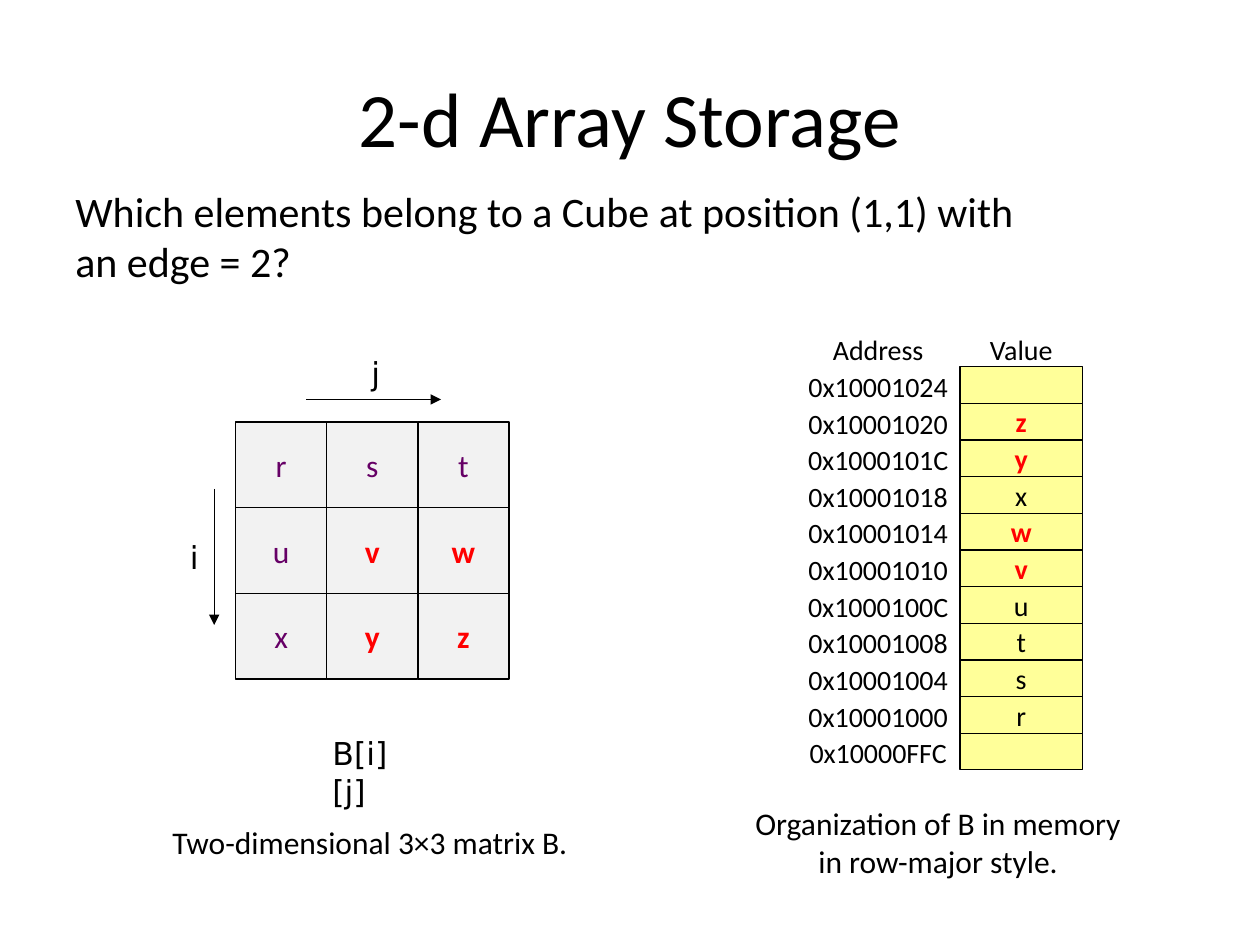
from lxml import etree
from pptx import Presentation
from pptx.dml.color import RGBColor
from pptx.enum.shapes import MSO_CONNECTOR, MSO_SHAPE
from pptx.enum.text import MSO_ANCHOR, PP_ALIGN
from pptx.oxml.ns import qn
from pptx.util import Inches, Pt

RECTANGLE = MSO_SHAPE.RECTANGLE
STRAIGHT = MSO_CONNECTOR.STRAIGHT
LEFT, CENTER = PP_ALIGN.LEFT, PP_ALIGN.CENTER
TOP, MIDDLE = MSO_ANCHOR.TOP, MSO_ANCHOR.MIDDLE

TITLE = "2-d Array Storage"
QUESTION = ["Which elements belong to a Cube at position (1,1) with", "an edge = 2?"]
MATRIX = ["rst", "uvw", "xyz"]
CUBE = "vwyz"
MEMORY = [
    ("0x10001024", ""),
    ("0x10001020", "z"),
    ("0x1000101C", "y"),
    ("0x10001018", "x"),
    ("0x10001014", "w"),
    ("0x10001010", "v"),
    ("0x1000100C", "u"),
    ("0x10001008", "t"),
    ("0x10001004", "s"),
    ("0x10001000", "r"),
    ("0x10000FFC", ""),
]
HEADINGS = [("Address", 6.51, 0.92), ("Value", 7.75, 0.71)]
CODE_LABELS = [
    ("B[i][j]", (2.54, 5.78, 0.82, 0.4), True),
    ("i", (1.41, 4.22, 0.26, 0.4), False),
    ("j", (2.85, 2.76, 0.26, 0.4), False),
]
INDEX_ARROWS = [(1.7, 3.88, 1.7, 4.96), (2.43, 3.17, 3.5, 3.17)]
MATRIX_CAPTION = ["Two-dimensional 3×3 matrix B."]
MEMORY_CAPTION = ["Organization of B in memory", "in row-major style."]

BLACK, RED, PURPLE = "000000", "FF0000", "660066"
YELLOW, GREY = "FFFF99", "F2F2F2"
MATRIX_LEFT, MATRIX_TOP = 1.87, 3.35
CELL_WIDTH, CELL_HEIGHT = 2.17 / len(MATRIX[0]), 2.04 / len(MATRIX)
ADDRESS_LEFT, ADDRESS_WIDTH = 6.27, 1.4
VALUE_LEFT, VALUE_WIDTH = 7.62, 0.97
MEMORY_TOP, MEMORY_ROW = 2.91, 3.2 / len(MEMORY)
HEADING_TOP, ADDRESS_TOP, LABEL_HEIGHT = 2.59, 2.88, 0.37


def rgb(color):
    return RGBColor.from_string(color)


def write(frame, lines, size, color=BLACK, font="Calibri", bold=False,
          align=LEFT, anchor=TOP, wrap=False):
    frame.text = "\n".join(lines)
    frame.word_wrap = wrap
    frame.vertical_anchor = anchor
    settings = {"name": font, "size": Pt(size), "bold": bold}
    for paragraph in frame.paragraphs:
        paragraph.alignment = align
        for run in paragraph.runs:
            for key, value in settings.items():
                setattr(run.font, key, value)
            run.font.color.rgb = rgb(color)


def add_label(slide, box, lines, size, **style):
    label = slide.shapes.add_textbox(*map(Inches, box))
    write(label.text_frame, lines, size, **style)


def add_cell(slide, box, fill, letter, size, color):
    cell = slide.shapes.add_shape(RECTANGLE, *map(Inches, box))
    cell.shadow.inherit = False
    cell.fill.solid()
    cell.fill.fore_color.rgb = rgb(fill)
    cell.line.color.rgb = rgb(BLACK)
    cell.line.width = Pt(0.75)
    if letter:
        in_cube = letter in CUBE
        write(cell.text_frame, [letter], size, color=RED if in_cube else color,
              bold=in_cube, align=CENTER, anchor=MIDDLE)


def add_arrow(slide, ends):
    arrow = slide.shapes.add_connector(STRAIGHT, *map(Inches, ends))
    arrow.line.color.rgb = rgb(BLACK)
    arrow.line.width = Pt(0.75)
    properties = arrow._element.spPr
    etree.SubElement(properties.get_or_add_ln(), qn("a:tailEnd"), type="triangle")
    etree.SubElement(properties, qn("a:effectLst"))


def add_memory(slide):
    for heading, left, width in HEADINGS:
        add_label(slide, (left, HEADING_TOP, width, LABEL_HEIGHT), [heading], 16,
                  align=CENTER, anchor=MIDDLE)
    for row, (address, letter) in enumerate(MEMORY):
        offset = row * MEMORY_ROW
        add_label(slide, (ADDRESS_LEFT, ADDRESS_TOP + offset, ADDRESS_WIDTH, LABEL_HEIGHT),
                  [address], 16, align=CENTER, anchor=MIDDLE)
        add_cell(slide, (VALUE_LEFT, MEMORY_TOP + offset, VALUE_WIDTH, MEMORY_ROW),
                 YELLOW, letter, 16, BLACK)


def add_matrix(slide):
    for row, letters in enumerate(MATRIX):
        for column, letter in enumerate(letters):
            box = (MATRIX_LEFT + column * CELL_WIDTH, MATRIX_TOP + row * CELL_HEIGHT,
                   CELL_WIDTH, CELL_HEIGHT)
            add_cell(slide, box, GREY, letter, 18, PURPLE)
    for text, box, wrap in CODE_LABELS:
        add_label(slide, box, [text], 18, font="DejaVu Sans", wrap=wrap)
    for ends in INDEX_ARROWS:
        add_arrow(slide, ends)


def main():
    deck = Presentation()
    deck.slide_width, deck.slide_height = Inches(10), Inches(7.5)
    slide = deck.slides.add_slide(deck.slide_layouts[5])

    title = slide.shapes.title
    position = {"left": 0.5, "top": 0.3, "width": 9, "height": 1.25}
    for key, value in position.items():
        setattr(title, key, Inches(value))
    write(title.text_frame, [TITLE], 44, align=CENTER, anchor=MIDDLE, wrap=True)

    add_label(slide, (0.5, 1.42, 7.73, 0.9), QUESTION, 24)
    add_memory(slide)
    add_matrix(slide)
    add_label(slide, (1.27, 6.48, 3.35, 0.4), MATRIX_CAPTION, 18)
    add_label(slide, (5.89, 6.33, 3.11, 0.7), MEMORY_CAPTION, 18, align=CENTER)
    deck.save("out.pptx")


if __name__ == "__main__":
    main()
